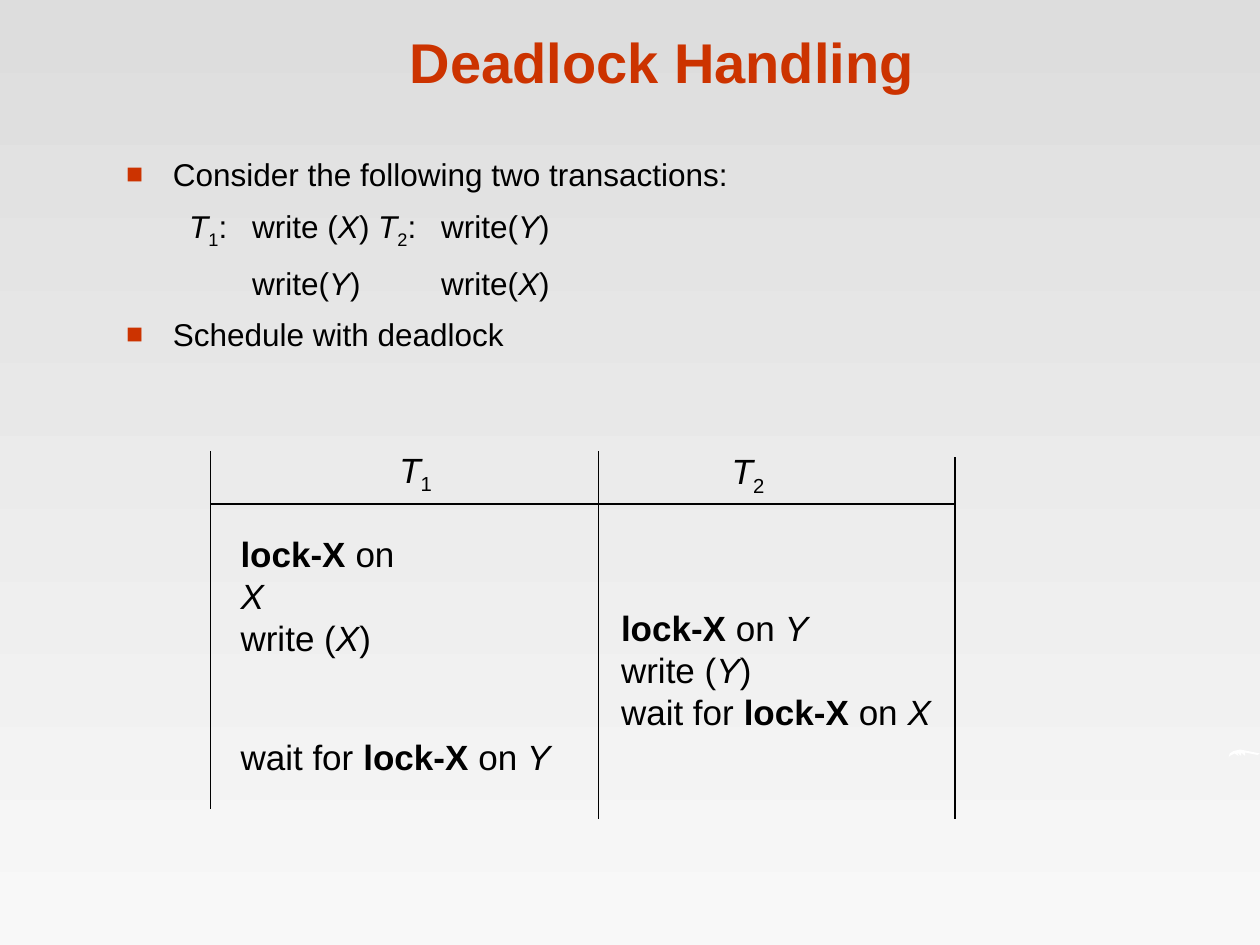
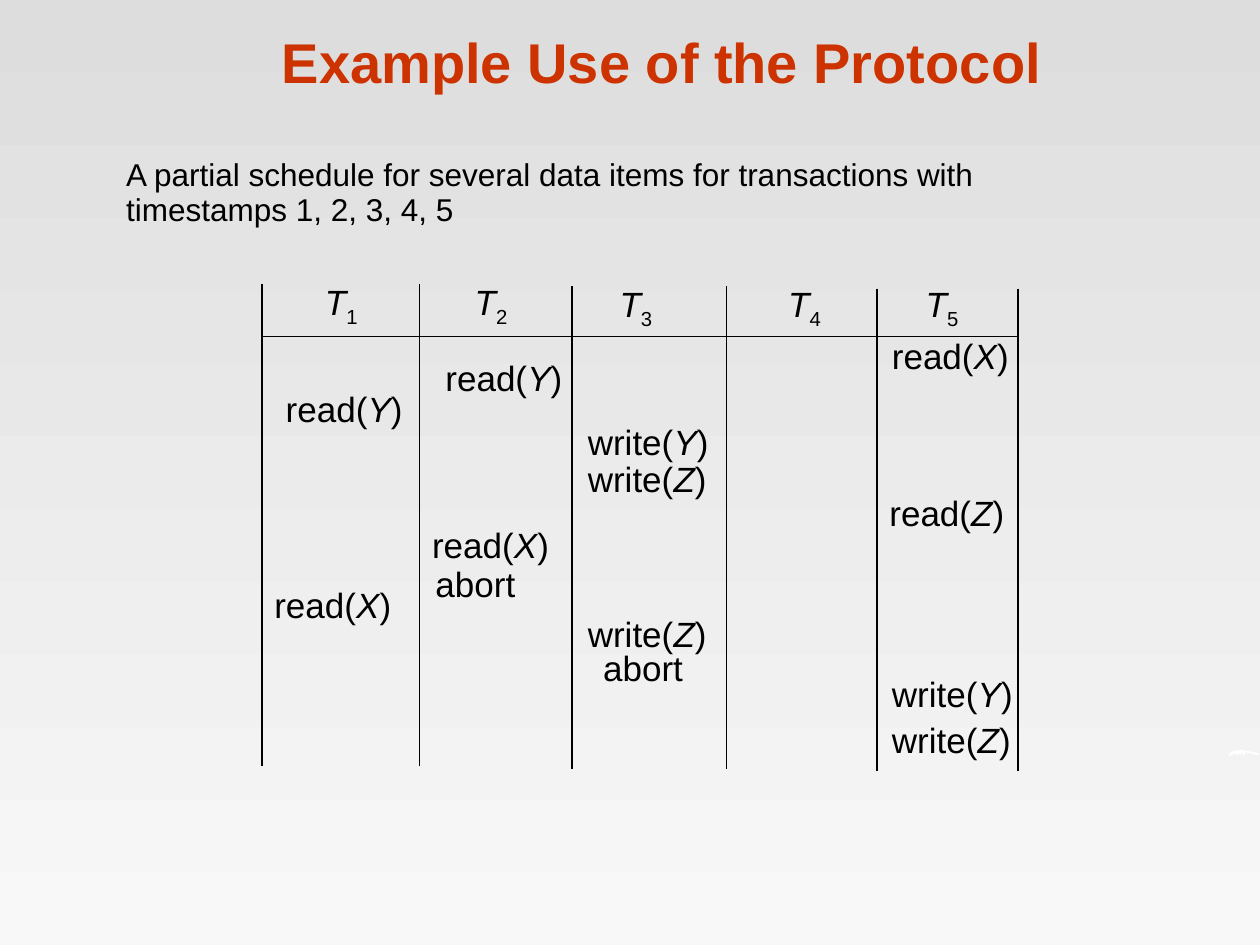
"""Build two slides on transaction schedules: deadlock and timestamp ordering."""
import lxml.etree
import pptx
import pptx.dml.color
import pptx.enum.shapes
import pptx.enum.text
import pptx.oxml.ns
import pptx.util

Cm, Pt = pptx.util.Cm, pptx.util.Pt
qn = pptx.oxml.ns.qn
RGBColor = pptx.dml.color.RGBColor
RED = RGBColor(0xCC, 0x33, 0x00)
BLACK = RGBColor(0, 0, 0)
WHITE = RGBColor(0xFF, 0xFF, 0xFF)
GREY_TOP = RGBColor(0xDD, 0xDD, 0xDD)
GREY_BOTTOM = RGBColor(0xF8, 0xF8, 0xF8)
FONT = "Arial"
TITLE_BOX = (2.13, 0.33, 22.43, 1.7)
HEADER_RULE = 1.07
BULLET_INDENT = 0.94
TRANSACTION_TABS = (2.3, 3.92, 8.97, 10.46)
SWASH = [(24.77, 15.27), (24.79, 15.19), (24.87, 15.14), (25.0, 15.11),
         (25.15, 15.14), (25.4, 15.19), (25.35, 15.22), (25.1, 15.17),
         (25.1, 15.24), (25.02, 15.17), (25.02, 15.24), (24.94, 15.17),
         (24.97, 15.24), (24.89, 15.19), (24.79, 15.24)]

DEADLOCK_BODY = [
    ("bullet", "Consider the following two transactions:"),
    ("tabs", "\t|/T|~1|:\twrite (|/X|)\t|/T|~2|:\twrite(|/Y|)"),
    ("tabs", "\t\twrite(|/Y|)\t\twrite(|/X|)"),
    ("bullet", "Schedule with deadlock"),
]
DEADLOCK_COLUMNS = [(0, 0, 7.21), (7.82, 0, 7.42), (15.01, 0.13, 7.29)]
DEADLOCK_HEADERS = [(3.56, -0.18), (10.26, -0.15)]
DEADLOCK_STEPS = [
    (0.36, 1.52, 4.27, ["*lock-X| on |/X", "write (|/X|)"]),
    (8.03, 3.02, 6.76, ["*lock-X| on |/Y", "write (|/Y|)", "wait for |*lock-X| on |/X"]),
    (0.36, 5.61, 6.76, ["wait for |*lock-X| on |/Y"]),
]

PROTOCOL_BODY = [
    ("plain", "A partial schedule for several data items for transactions with"),
    ("tight", "timestamps 1, 2, 3, 4, 5"),
]
PROTOCOL_COLUMNS = [(0, 0, 9.73), (3.18, 0, 9.73), (6.25, 0.05, 9.73),
                    (9.37, 0.05, 9.73), (12.4, 0.1, 9.73), (15.24, 0.1, 9.73)]
PROTOCOL_HEADERS = [(1.02, -0.18), (4.04, -0.18), (6.96, -0.15), (10.36, -0.15), (13.13, -0.15)]
PROTOCOL_STEPS = [
    (3.45, 1.35, 2.87, ["read(|/Y|)"]),
    (12.45, 0.89, 3.05, ["read(|/X|)"]),
    (0.23, 1.96, 2.87, ["read(|/Y|)"]),
    (6.32, 2.64, 3.12, ["write(|/Y|)"]),
    (6.32, 3.38, 3.1, ["write(|/Z|)"]),
    (12.4, 4.06, 3.02, ["read(|/Z|)"]),
    (3.18, 4.7, 3.05, ["read(|/X|)"]),
    (3.25, 5.49, 2.51, ["abort"]),
    (0, 5.92, 3.05, ["read(|/X|)"]),
    (6.32, 6.5, 3.1, ["write(|/Z|)"]),
    (6.63, 7.19, 2.51, ["abort"]),
    (12.45, 7.72, 3.12, ["write(|/Y|)"]),
    (12.45, 8.64, 3.3, ["write(|/Z|)"]),
]


def style_master(master):
    """Give the master its grey gradient background."""
    fill = master.background.fill
    fill.gradient()
    fill.gradient_angle = 270
    for stop, color in zip(fill.gradient_stops, (GREY_TOP, GREY_BOTTOM)):
        stop.color.rgb = color


def add_master_swash(presentation, slide):
    """Build the white swash and move it onto the master behind everything."""
    start, *rest = [(Cm(x), Cm(y)) for x, y in SWASH]
    builder = slide.shapes.build_freeform(*start)
    builder.add_line_segments(rest, close=True)
    swash = builder.convert_to_shape()
    swash.shadow.inherit = False
    swash.fill.solid()
    swash.fill.fore_color.rgb = WHITE
    swash.line.fill.background()
    swash.element.nvSpPr.cNvPr.set("id", "20")
    presentation.slide_master.shapes.element.insert(2, swash.element)


def place(shape, box):
    """Move a shape to a box given in centimetres."""
    shape.left, shape.top, shape.width, shape.height = map(Cm, box)


def write_runs(paragraph, markup, size, color=BLACK, bold=None):
    """Write pieces split by bars; / is italic, * bold and ~ subscript."""
    font = paragraph.font
    font.name, font.size, font.bold = FONT, Pt(size), bold
    font.color.rgb = color
    for piece in markup.split("|"):
        mark = piece[0] if piece[0] in "/*~" else ""
        run = paragraph.add_run()
        run.text = piece[len(mark):]
        if mark == "/":
            run.font.italic = True
        elif mark == "*":
            run.font.bold = True
        elif mark == "~":
            run._r.get_or_add_rPr().set("baseline", "-25000")


def add_property(properties, tag, **attributes):
    """Append one element to the paragraph properties."""
    element = lxml.etree.SubElement(properties, qn(tag))
    for name, value in attributes.items():
        element.set(name, str(value))
    return element


def format_body_paragraph(paragraph, kind):
    """Set spacing, indent, bullet and tab stops for a kind of body line."""
    paragraph.space_before = Pt(7.9)
    if kind == "tight":
        paragraph.line_spacing = 0.5
    properties = paragraph._p.get_or_add_pPr()
    indent = Cm(BULLET_INDENT) if kind == "bullet" else 0
    properties.set("marL", str(indent))
    properties.set("indent", str(-indent))
    if kind == "bullet":
        color = add_property(properties, "a:buClr")
        add_property(color, "a:srgbClr", val=RED)
        add_property(properties, "a:buSzPct", val=90000)
        add_property(properties, "a:buFont", typeface=FONT)
        add_property(properties, "a:buChar", char="■")
    else:
        add_property(properties, "a:buNone")
    if kind == "tabs":
        stops = add_property(properties, "a:tabLst")
        for position in TRANSACTION_TABS:
            add_property(stops, "a:tab", pos=Cm(position), algn="l")


def fill_title(slide, text):
    """Fill the title placeholder."""
    title = slide.shapes.title
    place(title, TITLE_BOX)
    frame = title.text_frame
    frame.auto_size = pptx.enum.text.MSO_AUTO_SIZE.NONE
    frame.vertical_anchor = pptx.enum.text.MSO_ANCHOR.BOTTOM
    frame.paragraphs[0].alignment = pptx.enum.text.PP_ALIGN.CENTER
    write_runs(frame.paragraphs[0], text, 32, RED, True)


def fill_body(slide, box, lines):
    """Fill the body placeholder with its lines."""
    body = slide.placeholders[1]
    place(body, box)
    frame = body.text_frame
    frame.auto_size = pptx.enum.text.MSO_AUTO_SIZE.NONE
    for index, (kind, markup) in enumerate(lines):
        paragraph = frame.add_paragraph() if index else frame.paragraphs[0]
        format_body_paragraph(paragraph, kind)
        write_runs(paragraph, markup, 18)


def add_label(slide, box, lines):
    """Add an unwrapped text box with one paragraph per line."""
    frame = slide.shapes.add_textbox(*map(Cm, box)).text_frame
    frame.word_wrap = False
    frame.auto_size = pptx.enum.text.MSO_AUTO_SIZE.SHAPE_TO_FIT_TEXT
    for index, markup in enumerate(lines):
        paragraph = frame.add_paragraph() if index else frame.paragraphs[0]
        write_runs(paragraph, markup, 20)


def add_rule(slide, start, end):
    """Draw a thin black line between two points in centimetres."""
    straight = pptx.enum.shapes.MSO_CONNECTOR.STRAIGHT
    rule = slide.shapes.add_connector(straight, *map(Cm, start + end))
    rule.line.color.rgb = BLACK
    rule.line.width = Pt(0.75)
    lxml.etree.SubElement(rule.element.spPr, qn("a:effectLst"))


def draw_schedule(slide, origin, columns, headers, steps):
    """Draw the column rules, transaction headers and steps from an origin."""
    left, top = origin
    for x, y, height in columns:
        add_rule(slide, (left + x, top + y), (left + x, top + y + height))
    add_rule(slide, (left, top + HEADER_RULE), (left + columns[-1][0], top + HEADER_RULE))
    for number, (x, y) in enumerate(headers, 1):
        add_label(slide, (left + x, top + y, 1.17, 1.22), [f"/T|~{number}"])
    for x, y, width, lines in steps:
        height = 0.28 + 0.84 * len(lines)
        add_label(slide, (left + x, top + y, width, height), lines)


def add_schedule_slide(presentation, title, body_box, body_lines, *schedule):
    """Add a slide with a title, body lines and a schedule."""
    slide = presentation.slides.add_slide(presentation.slide_layouts[1])
    fill_title(slide, title)
    fill_body(slide, body_box, body_lines)
    draw_schedule(slide, *schedule)
    return slide


def main():
    """Build and save the presentation."""
    presentation = pptx.Presentation()
    presentation.slide_width, presentation.slide_height = Cm(25.4), Cm(19.05)
    style_master(presentation.slide_master)
    deadlock = add_schedule_slide(
        presentation, "Deadlock Handling", (2.29, 3.0, 21.29, 13.61), DEADLOCK_BODY,
        (4.24, 9.09), DEADLOCK_COLUMNS, DEADLOCK_HEADERS, DEADLOCK_STEPS)
    add_master_swash(presentation, deadlock)
    add_schedule_slide(
        presentation, "Example Use of the Protocol", (2.29, 3.0, 22.76, 13.54), PROTOCOL_BODY,
        (5.28, 5.72), PROTOCOL_COLUMNS, PROTOCOL_HEADERS, PROTOCOL_STEPS)
    presentation.save("out.pptx")


if __name__ == "__main__":
    main()
